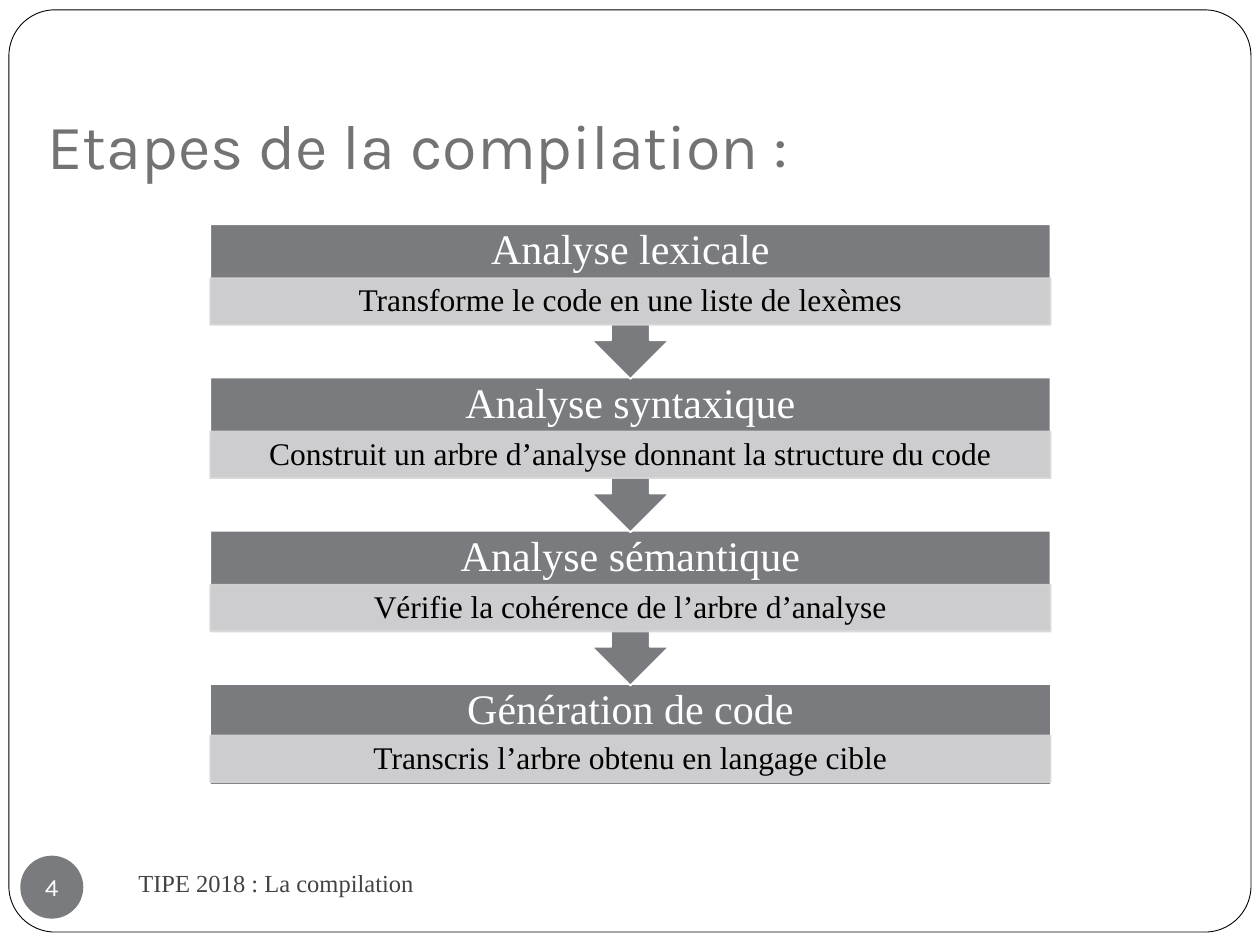
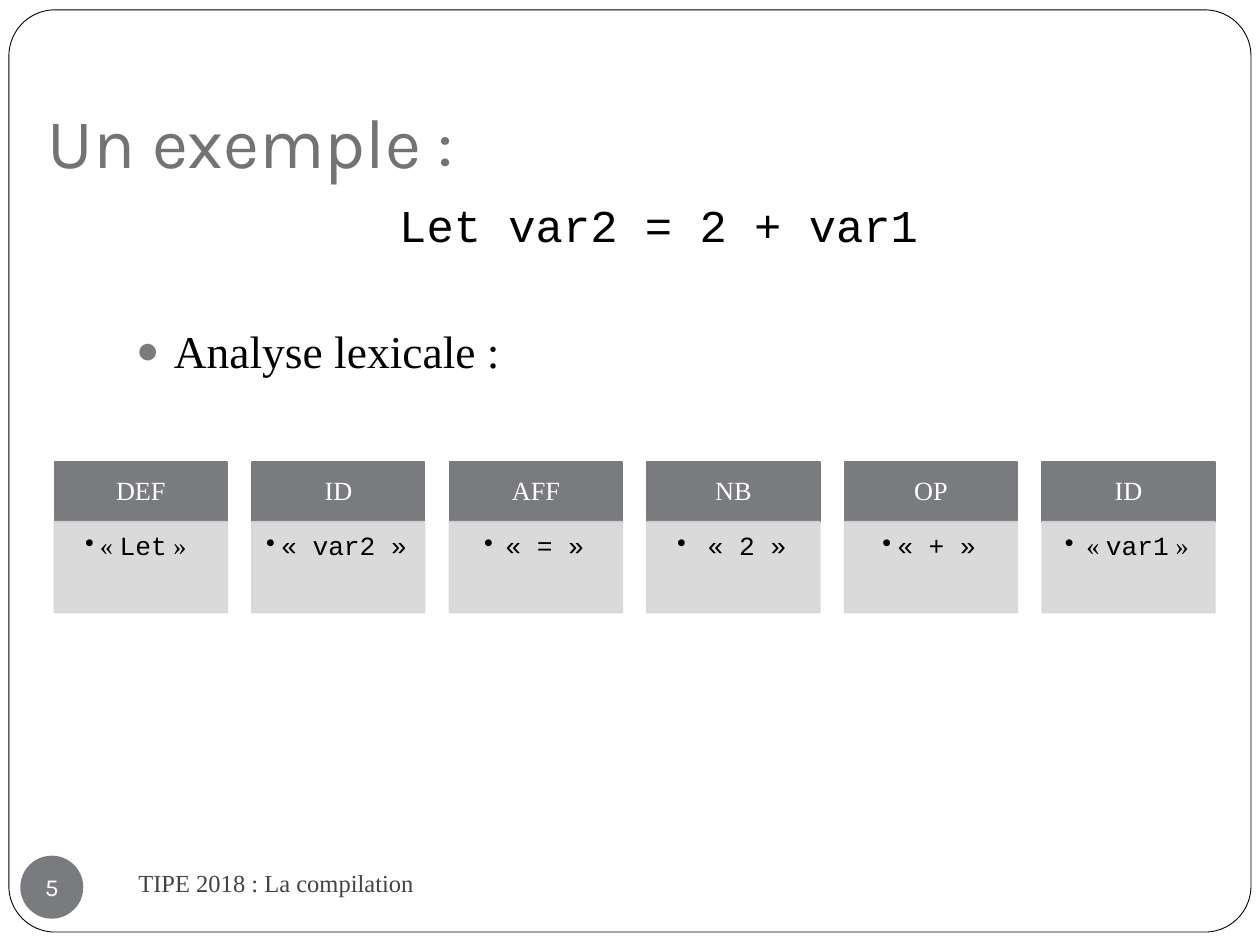
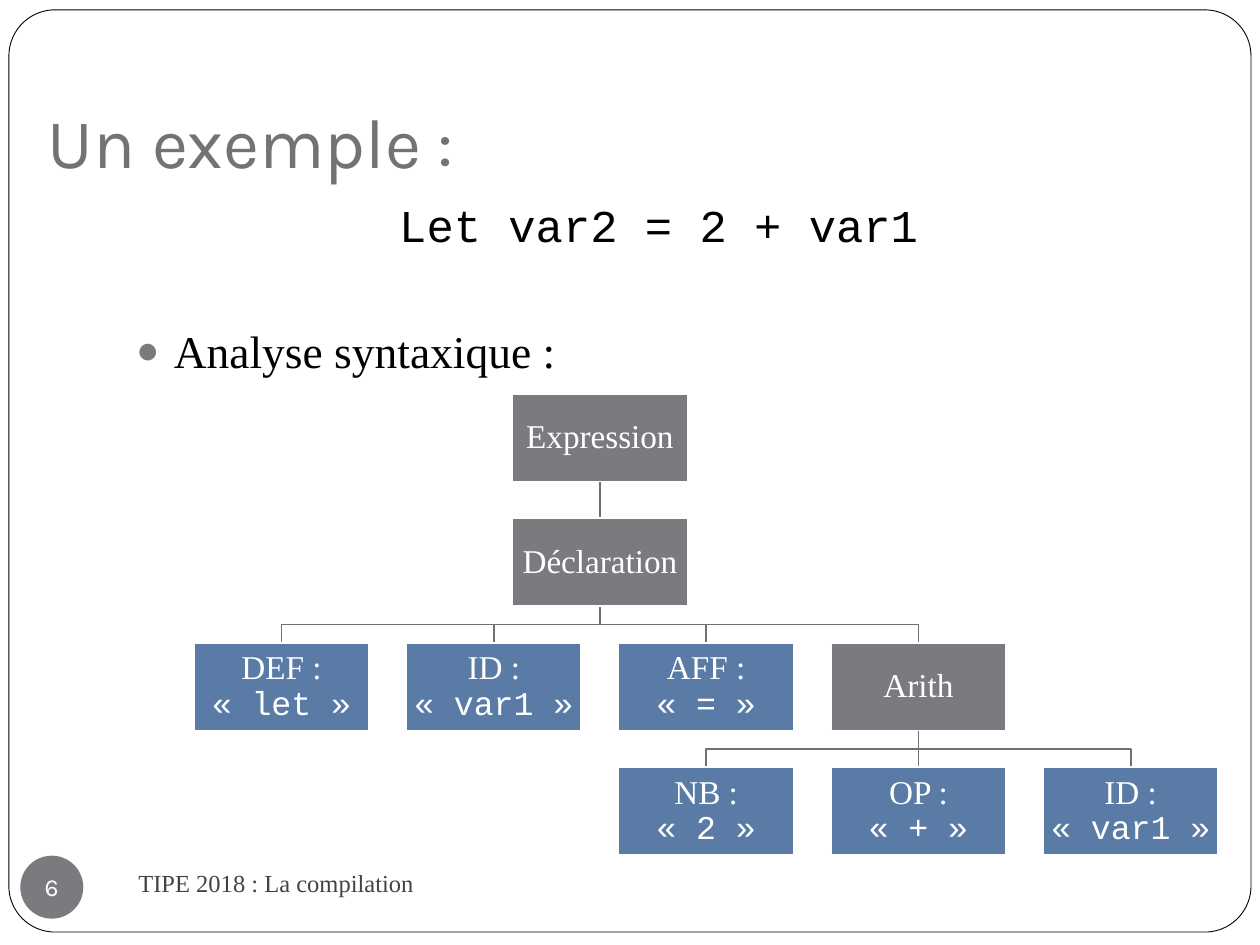
from lxml import etree
from pptx import Presentation
from pptx.dml.color import RGBColor
from pptx.enum.shapes import MSO_CONNECTOR as Line, MSO_SHAPE as Form
from pptx.enum.text import MSO_ANCHOR as Anchor, MSO_AUTO_SIZE as Auto, PP_ALIGN as Align
from pptx.oxml.ns import qn
from pptx.util import Cm, Pt

HUES = {
    "white": "FFFFFF", "black": "000000", "title": "737373", "foot": "434342",
    "gray": "797B7E", "pale": "D7D7D8", "blue": "5A7BA5", "link": "6E7072",
}
SANS, SERIF, MONO = "Karla", "Times New Roman", "Courier New"
FOOT = "TIPE 2018 : La compilation"

STEPS = [
    ("Analyse lexicale", "Transforme le code en une liste de lexèmes"),
    ("Analyse syntaxique", "Construit un arbre d’analyse donnant la structure du code"),
    ("Analyse sémantique", "Vérifie la cohérence de l’arbre d’analyse"),
    ("Génération de code", "Transcris l’arbre obtenu en langage cible"),
]
# Text between backticks is set in the code font
TOKENS = [
    ("DEF", "« `Let` » "), ("ID", "`« var2 »`"), ("AFF", " `« = »`"),
    ("NB", "` « 2 »`"), ("OP", "`« + »`"), ("ID", " « `var1` »"),
]
# Name: (label, column, row, parent)
NODES = {
    "expr": ("Expression", 1.5, 0, None),
    "decl": ("Déclaration", 1.5, 1, "expr"),
    "def": ("DEF :\n`« let »`", 0, 2, "decl"),
    "id": ("ID :\n`« var1 »`", 1, 2, "decl"),
    "aff": ("AFF :\n`« = »`", 2, 2, "decl"),
    "arith": ("Arith", 3, 2, "decl"),
    "nb": ("NB :\n`« 2 »`", 2, 3, "arith"),
    "op": ("OP :\n`« + »`", 3, 3, "arith"),
    "var": ("ID :\n`« var1 »`", 4, 3, "arith"),
}


def rgb(hue):
    return RGBColor.from_string(HUES[hue])


def cms(*sizes):
    return [Cm(size) for size in sizes]


def move(shape, box):
    shape.left, shape.top, shape.width, shape.height = cms(*box)


def pad(frame, left, top, right, bottom):
    frame.margin_left, frame.margin_top = Cm(left), Cm(top)
    frame.margin_right, frame.margin_bottom = Cm(right), Cm(bottom)


def write(par, text, size, hue, font=SERIF, align=Align.CENTER, space=None):
    par.alignment, par.line_spacing = align, space
    par.font.size, par.font.name = Pt(size), font
    par.font.color.rgb = rgb(hue)
    for i, part in enumerate(text.split("`")):
        for j, row in enumerate(part.split("\n")):
            if j:
                par.add_line_break()
            if row:
                run = par.add_run()
                run.text = row
                if i % 2:
                    run.font.name = MONO


def bullet(par, char=None, indent=0, hue=None, size=None):
    """Set or clear the bullet of a paragraph that already has its font."""
    props = par._p.get_or_add_pPr()
    props.set("marL", str(Cm(indent)))
    props.set("indent", str(-Cm(indent)))
    last = props.find(qn("a:defRPr"))

    def add(tag, **attrs):
        node = etree.Element(qn(tag), attrs)
        last.addprevious(node)
        return node

    if hue:
        etree.SubElement(add("a:buClr"), qn("a:srgbClr"), val=HUES[hue])
    if size:
        add("a:buSzPct", val=str(size * 1000))
    if char:
        add("a:buChar", char=char)
    else:
        add("a:buNone")


def block(slide, form, box, fill=None, line=None, width=1):
    shape = slide.shapes.add_shape(form, *cms(*box))
    shape.shadow.inherit = False
    if fill:
        shape.fill.solid()
        shape.fill.fore_color.rgb = rgb(fill)
    else:
        shape.fill.background()
    if line:
        shape.line.color.rgb = rgb(line)
        shape.line.width = Pt(width)
    else:
        shape.line.fill.background()
    pad(shape.text_frame, 0, 0, 0, 0)
    return shape


def panel(slide, box):
    """Pale, slightly transparent box."""
    shape = block(slide, Form.RECTANGLE, box, "pale", "pale")
    for color in shape._element.spPr.iter(qn("a:srgbClr")):
        etree.SubElement(color, qn("a:alpha"), val="90000")
    return shape


def page(deck, layout, number, title, size):
    """Slide with frame, title, footer and number."""
    slide = deck.slides.add_slide(deck.slide_layouts[layout])
    edge = block(slide, Form.ROUNDED_RECTANGLE, (0.18, 0.2, 25.04, 18.59), None, "black", 0.5)
    edge.adjustments[0] = 0.05

    # Title
    head = slide.shapes.title
    move(head, (0.71, 0.74, 21.59, 3.18))
    frame = head.text_frame
    frame.auto_size, frame.vertical_anchor = Auto.NONE, Anchor.BOTTOM
    pad(frame, 0.25, 0.13, 0.25, 0.25)
    write(frame.paragraphs[0], title, size, "title", SANS, Align.LEFT)

    # Footer and number
    foot = slide.shapes.add_textbox(*cms(2.54, 17.15, 11, 1.27)).text_frame
    foot.word_wrap, foot.vertical_anchor = True, Anchor.MIDDLE
    write(foot.paragraphs[0], FOOT, 14, "foot", align=Align.LEFT)
    disc = block(slide, Form.OVAL, (0.41, 17.25, 1.27, 1.27), "gray").text_frame
    disc.word_wrap = False
    write(disc.paragraphs[0], str(number), 14, "white", SANS)
    return slide


def sample(deck, number, topic):
    """Example page: line of code, then the topic as a bullet."""
    slide = page(deck, 1, number, "Un exemple :", 40)
    body = slide.placeholders[1]
    move(body, (2.49, 3.84, 21.59, 12.7))
    frame = body.text_frame
    frame.auto_size = Auto.NONE
    code, item = frame.paragraphs[0], frame.add_paragraph()
    write(code, "Let var2 = 2 + var1", 26, "black", MONO)
    bullet(code)
    code.space_before = Pt(5.8)
    write(item, topic, 26, "black", align=Align.LEFT)
    bullet(item, "●", 0.76, "gray", 85)
    item.space_before = Pt(41)
    return slide


def stack(slide, box):
    """Steps from top to bottom, each pointing to the next."""
    x, y, w, h = box
    tall, strip = 2.03, 0.94
    pitch = (h - tall) / (len(STEPS) - 1)
    # Bottom step first, so that each arrow tip lies over the next step
    for i, (name, note) in reversed(list(enumerate(STEPS))):
        top, last = y + i * pitch, i == len(STEPS) - 1
        form = Form.RECTANGLE if last else Form.DOWN_ARROW_CALLOUT
        step = block(slide, form, (x, top, w, tall if last else pitch + 0.03), "gray", "white")
        pad(step.text_frame, 0, 0, 0, strip)
        write(step.text_frame.paragraphs[0], name, 24, "white", space=0.9)
        low = panel(slide, (x, top + (1.04 if last else 1.09), w, strip))
        write(low.text_frame.paragraphs[0], note, 18, "black", space=0.9)


def lexemes(slide, box):
    """Row of tokens: kind above, value below."""
    x, y, w, h = box
    wide, high = 3.48, 1.2
    pitch = (w - wide) / (len(TOKENS) - 1)
    for i, (kind, value) in enumerate(TOKENS):
        left = x + i * pitch
        top = block(slide, Form.RECTANGLE, (left, y, wide, high), "gray", "gray")
        write(top.text_frame.paragraphs[0], kind, 15, "white", space=0.9)
        low = panel(slide, (left, y + high, wide, h - high)).text_frame
        low.vertical_anchor = Anchor.TOP
        pad(low, 0.23, 0.23, 0.3, 0.33)
        write(low.paragraphs[0], value, 15, "black", space=0.9)
        bullet(low.paragraphs[0], "•", 0.3)


def link(slide, start, end):
    """Line from a parent down to its child, bent halfway if needed."""
    (x, y), (to, low) = cms(*start), cms(*end)
    if x == to:
        line = slide.shapes.add_connector(Line.STRAIGHT, x, y, to, low)
        etree.SubElement(line._element.spPr, qn("a:effectLst"))
    else:
        mid = (y + low) // 2
        path = slide.shapes.build_freeform(x, y)
        path.add_line_segments([(x, mid), (to, mid), (to, low)], close=False)
        line = path.convert_to_shape()
        line.fill.background()
        line.shadow.inherit = False
    line.line.color.rgb = rgb("link")
    line.line.width = Pt(1)


def tree(slide, box):
    """Syntax tree: links first, then nodes over them."""
    x, y, w, h = box
    wide, high = 3.53, 1.77
    across, down = (w - wide) / 4, (h - high) / 3
    spots = {key: (x + col * across, y + row * down)
             for key, (_, col, row, _) in NODES.items()}
    for key, (*_, parent) in NODES.items():
        if parent:
            (px, py), (cx, cy) = spots[parent], spots[key]
            link(slide, (px + wide / 2, py + high), (cx + wide / 2, cy))
    for key, (label, *_) in NODES.items():
        fill = "blue" if "`" in label else "gray"
        node = block(slide, Form.RECTANGLE, (*spots[key], wide, high), fill, "white")
        write(node.text_frame.paragraphs[0], label, 19, "white", space=0.9)


def main():
    deck = Presentation()
    deck.slide_width, deck.slide_height = cms(25.4, 19.05)
    stack(page(deck, 5, 4, "Etapes de la compilation :", 36), (4.24, 4.52, 16.94, 11.3))
    lexemes(sample(deck, 5, "Analyse lexicale :"), (1.1, 9.32, 23.39, 3.03))
    tree(sample(deck, 6, "Analyse syntaxique :"), (3.91, 7.94, 20.65, 9.3))
    deck.save("out.pptx")


if __name__ == "__main__":
    main()
